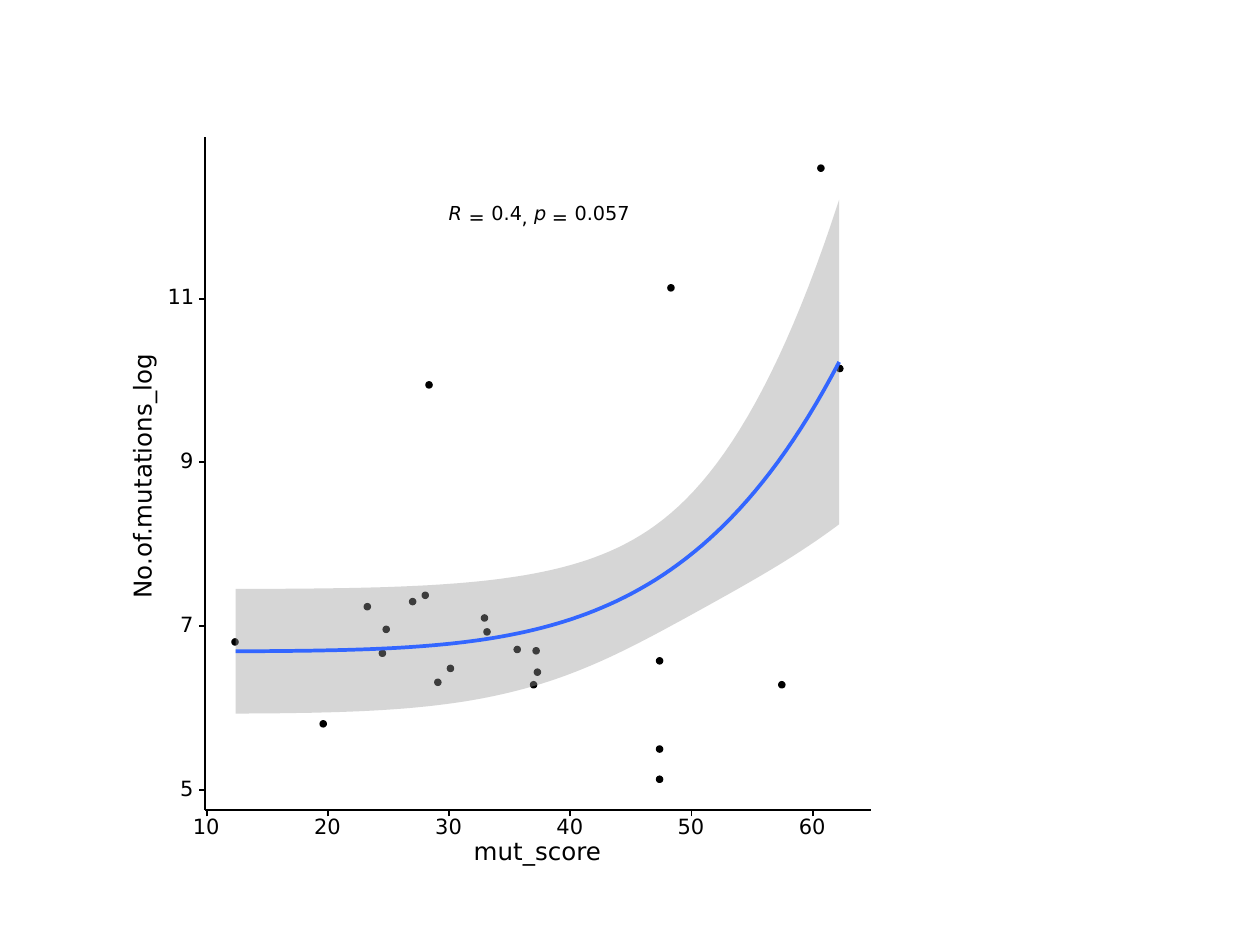
from math import sqrt

from lxml.etree import SubElement
from pptx import Presentation
from pptx.dml.color import RGBColor
from pptx.enum.shapes import MSO_CONNECTOR, MSO_SHAPE
from pptx.enum.text import MSO_ANCHOR
from pptx.oxml.ns import qn
from pptx.util import Cm, Pt

COLORS = {"black": "000000", "white": "FFFFFF", "fit": "3366FF", "band": "999999"}
FRAME_FORMAT = {
    "margin_left": 0, "margin_right": 0, "margin_top": 0, "margin_bottom": 0,
    "word_wrap": False, "vertical_anchor": MSO_ANCHOR.MIDDLE,
}


def inch(value):
    return Cm(value * 2.54)


class ScatterPlot:
    """Draws the parts of a scatter plot on one slide, placed in inches."""

    font_name = "DejaVu Sans"
    slack = 0.04

    def __init__(self, page):
        self.shapes = page.shapes.add_group_shape().shapes

    def style(self, shape, fill=None, line=None, width=0.75):
        shape.shadow.inherit = False
        if fill:
            shape.fill.solid()
            shape.fill.fore_color.rgb = RGBColor.from_string(COLORS[fill])
        else:
            shape.fill.background()
        if line:
            shape.line.color.rgb = RGBColor.from_string(COLORS[line])
            shape.line.width = Pt(width)
        else:
            shape.line.fill.background()

    def preset(self, kind, left, top, size, color, width):
        shape = self.shapes.add_shape(kind, inch(left), inch(top), inch(size), inch(size))
        self.style(shape, color, color, width)

    def outline(self, points, close=False, alpha=None, **look):
        corners = [(inch(x), inch(y)) for x, y in points]
        builder = self.shapes.build_freeform(*corners[0], scale=1.0)
        builder.add_line_segments(corners[1:], close=close)
        shape = builder.convert_to_shape()
        self.style(shape, **look)
        if alpha:
            color = shape.fill._xPr.find(qn("a:solidFill"))[0]
            SubElement(color, qn("a:alpha")).set("val", str(alpha * 1000))

    def line(self, *ends):
        rule = self.shapes.add_connector(MSO_CONNECTOR.STRAIGHT, *map(inch, ends))
        rule.line.color.rgb = RGBColor.from_string(COLORS["black"])
        rule.line.width = Pt(1.07)
        SubElement(rule._element.spPr, qn("a:effectLst"))

    def text(self, words, left, top, width, height, size, italic=None, rotation=0):
        place = (left, top, width + self.slack, height)
        box = self.shapes.add_textbox(*map(inch, place))
        box.rotation = rotation
        for name, value in FRAME_FORMAT.items():
            setattr(box.text_frame, name, value)
        para = box.text_frame.paragraphs[0]
        para.line_spacing = Pt(size)
        span = para.add_run()
        span.text = words
        font_format = {"name": self.font_name, "size": Pt(size), "italic": italic}
        for name, value in font_format.items():
            setattr(span.font, name, value)
        span.font.color.rgb = RGBColor.from_string(COLORS["black"])


FIT_LEFT, FIT_WIDTH, FIT_STEPS = 1.87, 4.79, 79
AXIS_X, AXIS_Y, TICK = 1.63, 6.43, 0.05
ORIGIN_X, UNIT_X = 1.64, 0.0962

DOTS = [
    (3.25, 4.75), (4.08, 5.13), (6.49, 1.31), (4.24, 5.31), (3.84, 4.99), (6.64, 2.9),
    (4.23, 5.14), (5.21, 5.22), (1.84, 5.07), (3.38, 3.03), (4.21, 5.41), (5.21, 6.16),
    (5.21, 5.92), (2.89, 4.79), (3.55, 5.28), (3.01, 5.16), (3.82, 4.88), (6.18, 5.41),
    (2.54, 5.72), (3.04, 4.97), (3.45, 5.39), (5.3, 2.26), (3.35, 4.7),
]
STATISTICS = [
    ("R", 3.56, 1.65, 0.11, 0.11, True), ("=", 3.72, 1.72, 0.13, 0.04, None),
    ("0.4", 3.9, 1.64, 0.24, 0.12, None), (",", 4.14, 1.72, 0.05, 0.04, None),
    ("p", 4.24, 1.64, 0.1, 0.12, True), ("=", 4.38, 1.72, 0.13, 0.04, None),
    ("0.057", 4.56, 1.64, 0.44, 0.12, None),
]


def curve(side=0):
    points = []
    for index in range(FIT_STEPS + 1):
        x = FIT_LEFT + FIT_WIDTH * index / FIT_STEPS
        score = 10 + (x - ORIGIN_X) / UNIT_X
        power = (score / 62.2) ** 5
        half_band = sqrt(0.176 + 2.197 * (power - 0.177) ** 2)
        points.append((x, 5.17 - 2.3 * power + side * half_band))
    return points


deck = Presentation()
deck.slide_width, deck.slide_height = inch(10), inch(7.5)
plot = ScatterPlot(deck.slides.add_slide(deck.slide_layouts[6]))

plot.preset(MSO_SHAPE.RECTANGLE, 1, 1, 6, "white", 0.75)
for left, top in DOTS:
    plot.preset(MSO_SHAPE.OVAL, left, top, 0.05, "black", 0.71)
plot.outline(curve(-1) + curve(1)[::-1], close=True, alpha=40, fill="band")
plot.outline(curve(), line="fit", width=2.13)
for words, left, top, width, height, italic in STATISTICS:
    plot.text(words, left, top, width, height, 11, italic)

plot.line(AXIS_X, AXIS_Y, AXIS_X, 1.09)
for value in range(5, 12, 2):
    y = 6.27 - (value - 5) * 0.65
    width = 0.11 if value < 10 else 0.21
    plot.text(str(value), 1.54 - width, y - 0.06, width, 0.12, 12)
    plot.line(AXIS_X - TICK, y, AXIS_X, y)

plot.line(AXIS_X, AXIS_Y, 6.91, AXIS_Y)
for value in range(10, 61, 10):
    x = ORIGIN_X + (value - 10) * UNIT_X
    plot.line(x, AXIS_Y + TICK, x, AXIS_Y)
    plot.text(str(value), x - 0.11, 6.51, 0.21, 0.13, 12)

plot.text("mut_score", 3.76, 6.68, 1.01, 0.18, 14)
plot.text("No.of.mutations_log", 0.15, 3.66, 1.95, 0.19, 14, rotation=270)

deck.save("out.pptx")
